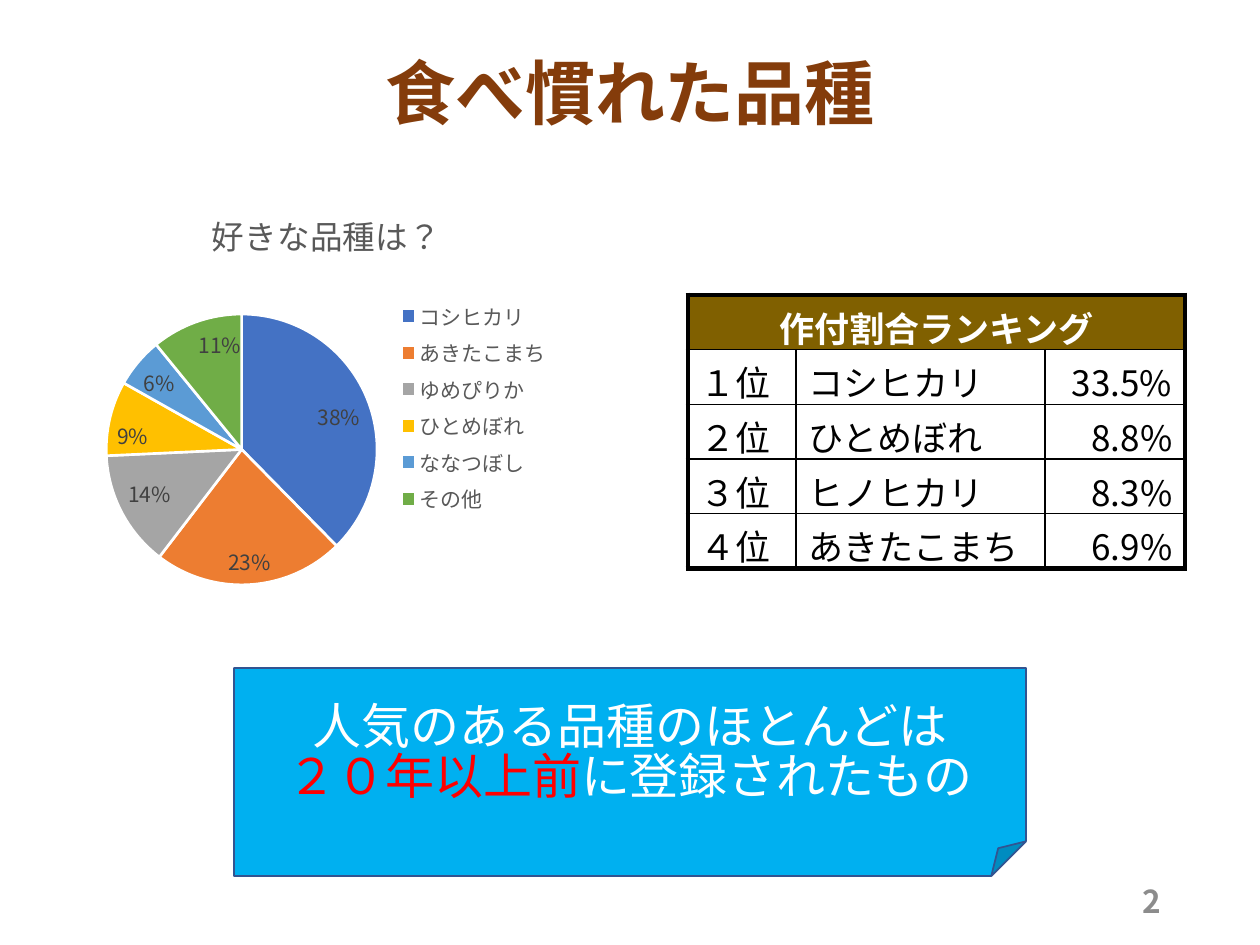
import lxml.etree
import pptx
import pptx.chart.data
import pptx.dml.color
import pptx.enum.chart
import pptx.enum.shapes
import pptx.enum.text
import pptx.oxml
import pptx.oxml.ns
import pptx.util

ALIGN = pptx.enum.text.PP_ALIGN
MIDDLE = pptx.enum.text.MSO_ANCHOR.MIDDLE
qn = pptx.oxml.ns.qn


def rgb(color):
    return pptx.dml.color.RGBColor.from_string(color)


def px(n):
    return pptx.util.Emu(n * 914400 // 126)


class Deck:
    """Holds the style and the current slide, and draws its elements."""

    font = "Noto Sans CJK JP"

    def __init__(self, prs):
        self.s = prs.slides.add_slide(prs.slide_layouts[5])

    def style(self, font, size, color, bold=False):
        font.size, font.bold, font.name = pptx.util.Pt(size), bold, self.font
        font.color.rgb = rgb(color)
        ea = lxml.etree.Element(qn("a:ea"), typeface=self.font)
        font._rPr.find(qn("a:latin")).addnext(ea)

    def fill_text(self, tf, lines, size, colors, align, bold=False, spacing=None):
        tf.word_wrap = True
        for i, line in enumerate(lines):
            p = tf.add_paragraph() if i else tf.paragraphs[0]
            p.alignment, p.line_spacing = align, spacing
            for text, color in zip(line, colors[i]):
                r = p.add_run()
                r.text = text
                self.style(r.font, size, color, bold)

    def title(self, text, box, size, color):
        sp = self.s.shapes.title
        sp.left, sp.top, sp.width, sp.height = map(px, box)
        sp.text_frame.vertical_anchor = MIDDLE
        self.fill_text(sp.text_frame, [[text]], size, [[color]], ALIGN.CENTER, True, 0.9)

    def text(self, text, box, size, color):
        tf = self.s.shapes.add_textbox(*map(px, box)).text_frame
        tf.vertical_anchor = MIDDLE
        self.fill_text(tf, [[text]], size, [[color]], ALIGN.RIGHT, True)

    def note(self, lines, colors, box, size, fill, line):
        kind = pptx.enum.shapes.MSO_SHAPE.FOLDED_CORNER
        sp = self.s.shapes.add_shape(kind, *map(px, box))
        sp.shadow.inherit = False
        sp.fill.solid()
        sp.fill.fore_color.rgb = rgb(fill)
        sp.line.color.rgb = rgb(line)
        sp.line.width = pptx.util.Pt(1)
        sp.text_frame.vertical_anchor = MIDDLE
        self.fill_text(sp.text_frame, lines, size, colors, ALIGN.CENTER, spacing=0.85)

    def layout(self, parent, x, y, w=None, h=None, inner=False):
        old = parent.find(qn("c:layout"))
        if old is not None:
            parent.remove(old)
        layout = lxml.etree.Element(qn("c:layout"))
        manual = lxml.etree.SubElement(layout, qn("c:manualLayout"))
        values = [("layoutTarget", "inner" if inner else None), ("xMode", "edge"),
                  ("yMode", "edge"), ("x", x), ("y", y), ("w", w), ("h", h)]
        for tag, value in values:
            if value is not None:
                lxml.etree.SubElement(manual, qn("c:" + tag), val=str(value))
        if inner:
            parent.insert(0, layout)
        else:
            parent.find(qn("c:overlay")).addprevious(layout)

    def pie(self, title, shares, colors, box):
        data = pptx.chart.data.CategoryChartData()
        data.categories = list(shares)
        data.add_series(title, list(shares.values()))
        kind = pptx.enum.chart.XL_CHART_TYPE.PIE
        chart = self.s.shapes.add_chart(kind, *map(px, box), data).chart
        self.style(chart.font, 10, "000000")
        chart.has_title = True
        tf = chart.chart_title.text_frame
        tf.text = title
        self.style(tf.paragraphs[0].runs[0].font, 18.6, "595959")
        chart.chart_title.include_in_layout = False
        self.layout(chart.chart_title._element, 0.25, 0.06)
        chart.has_legend = True
        chart.legend.position = pptx.enum.chart.XL_LEGEND_POSITION.RIGHT
        chart.legend.include_in_layout = False
        self.style(chart.legend.font, 12, "595959")
        plot = chart.plots[0]
        plot.vary_by_categories = True
        for i, color in enumerate(colors):
            fmt = plot.series[0].points[i].format
            fmt.fill.solid()
            fmt.fill.fore_color.rgb = rgb(color)
            fmt.line.color.rgb = rgb("FFFFFF")
            fmt.line.width = pptx.util.Pt(1.5)
        labels = plot.series[0].data_labels
        labels.show_percentage, labels.show_value = True, False
        labels.position = pptx.enum.chart.XL_LABEL_POSITION.INSIDE_END
        self.style(labels.font, 12, "404040")
        area = chart._chartSpace.chart.plotArea
        self.layout(area, 0.04, 0.3, 0.57, 0.58, inner=True)

    def border(self, cell, widths):
        tcPr = cell._tc.get_or_add_tcPr()
        for i, (side, width) in enumerate(zip("LRTB", widths)):
            ln = lxml.etree.Element(qn("a:ln" + side), w=str(pptx.util.Pt(width)))
            fill = lxml.etree.SubElement(ln, qn("a:solidFill"))
            lxml.etree.SubElement(fill, qn("a:srgbClr"), val="000000")
            tcPr.insert(i, ln)

    def table(self, header, rows, widths, box, size, fill):
        count, last = len(rows) + 1, len(widths) - 1
        table = self.s.shapes.add_table(count, last + 1, *map(px, box)).table
        for col, width in zip(table.columns, widths):
            col.width = px(width)
        table.cell(0, 0).merge(table.cell(0, last))
        for i, row in enumerate([[header] + [""] * last] + rows):
            for j, text in enumerate(row):
                cell = table.cell(i, j)
                if i:
                    cell.fill.background()
                    align = ALIGN.RIGHT if j == last else ALIGN.LEFT
                else:
                    cell.fill.solid()
                    cell.fill.fore_color.rgb = rgb(fill)
                    cell.vertical_anchor = MIDDLE
                    align = ALIGN.CENTER
                edges = (j == 0, j == last or i == 0, i == 0, i == count - 1)
                self.border(cell, [3 if edge else 1 for edge in edges])
                if text:
                    color = "000000" if i else "FFFFFF"
                    self.fill_text(cell.text_frame, [[text]], size, [[color]], align, i == 0)


def main():
    prs = pptx.Presentation()
    prs.slide_width, prs.slide_height = px(1260), px(945)
    d = Deck(prs)
    d.text("2", (890, 876, 283, 50), 18, "8C8C8C")
    d.title("食べ慣れた品種", (87, 5, 1086, 183), 40, "843C0B")
    shares = {"コシヒカリ": 38, "あきたこまち": 23, "ゆめぴりか": 14,
              "ひとめぼれ": 9, "ななつぼし": 6, "その他": 11}
    colors = ["4472C4", "ED7D31", "A5A5A5", "FFC000", "5B9BD5", "70AD47"]
    d.pie("好きな品種は？", shares, colors, (87, 174, 476, 467))
    ranking = [["１位", "コシヒカリ", "33.5%"], ["２位", "ひとめぼれ", "8.8%"],
               ["３位", "ヒノヒカリ", "8.3%"], ["４位", "あきたこまち", "6.9%"]]
    d.table("作付割合ランキング", ranking, (108, 249, 140), (688, 295, 497, 273), 20, "806000")
    d.note([["人気のある品種のほとんどは"], ["２０年以上前", "に登録されたもの"]],
           [["FFFFFF"], ["FF0000", "FFFFFF"]],
           (234, 668, 792, 208), 28, "00B0F0", "325491")
    prs.save("out.pptx")


if __name__ == "__main__":
    main()
